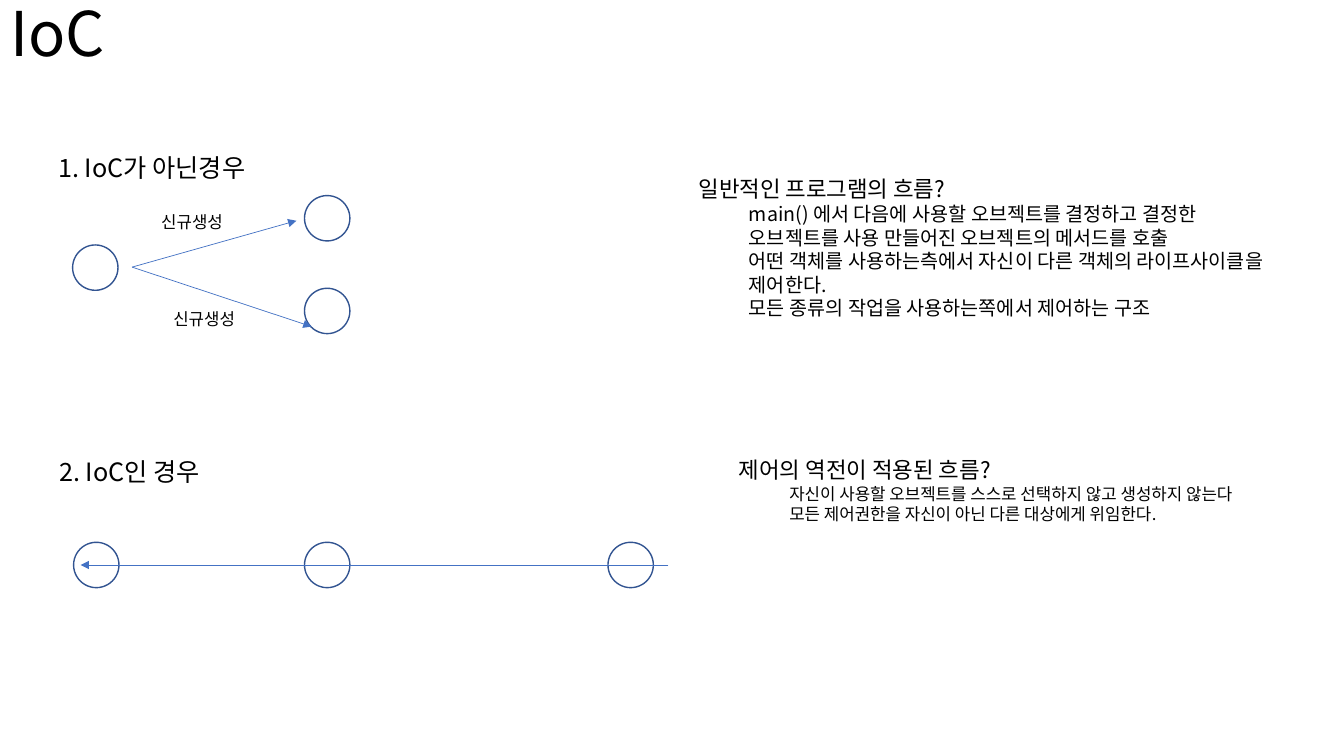
from lxml import etree
from pptx import Presentation
from pptx.dml.color import RGBColor
from pptx.enum.shapes import MSO_CONNECTOR, MSO_SHAPE
from pptx.enum.text import MSO_ANCHOR, MSO_AUTO_SIZE, PP_ALIGN
from pptx.oxml.ns import qn
from pptx.util import Inches, Pt

STRAIGHT = MSO_CONNECTOR.STRAIGHT
OVAL = MSO_SHAPE.OVAL
MIDDLE = MSO_ANCHOR.MIDDLE
LEFT = PP_ALIGN.LEFT
NO_AUTOFIT, GROW = MSO_AUTO_SIZE.NONE, MSO_AUTO_SIZE.SHAPE_TO_FIT_TEXT

FONT = "Noto Sans CJK KR"
COLORS = {"text": "000000", "outline": "325491", "arrow": "4472C4"}

TITLE = "IoC"
# Text, size, (left, top, width, height)
LABELS = [
    ("신규생성", 12, (1.5, 2.05, 0.88, 0.3)),
    ("신규생성", 12, (1.62, 3.01, 0.88, 0.3)),
    ("1. IoC가 아닌경우", 18, (0.48, 1.46, 2.22, 0.4)),
    ("2. IoC인 경우", 18, (0.49, 4.48, 1.71, 0.4)),
]
# Question, answers, answer size, (left, top, width, height)
EXPLANATIONS = [
    ("일반적인 프로그램의 흐름?",
     ["main() 에서 다음에 사용할 오브젝트를 결정하고 결정한 오브젝트를 사용 "
      "만들어진 오브젝트의 메서드를 호출",
      "어떤 객체를 사용하는측에서 자신이 다른 객체의 라이프사이클을 제어한다.",
      "모든 종류의 작업을 사용하는쪽에서 제어하는 구조"],
     14, (6.83, 1.69, 5.83, 1.55)),
    ("제어의 역전이 적용된 흐름?",
     ["자신이 사용할 오브젝트를 스스로 선택하지 않고 생성하지 않는다",
      "모든 제어권한을 자신이 아닌 다른 대상에게 위임한다."],
     12, (7.23, 4.48, 5.83, 0.77)),
]
QUESTION_SIZE = 16

DIAMETER = 0.45
MIDDLE_COLUMN, CHAIN_TOP = 3.02, 5.38
CREATION_OBJECTS = [(0.72, 2.43), (MIDDLE_COLUMN, 1.94), (MIDDLE_COLUMN, 2.86)]
CHAIN_OBJECTS = [(left, CHAIN_TOP) for left in (0.73, MIDDLE_COLUMN, 6.03)]

CREATOR = (1.31, 2.65)
CHAIN_AXIS = CHAIN_TOP + DIAMETER / 2
ARROWS = [
    ((6.63, CHAIN_AXIS), (0.8, CHAIN_AXIS)),
    (CREATOR, (2.94, 2.19)),
    (CREATOR, (3.09, 3.24)),
]


def color(name):
    """Return a palette colour."""
    return RGBColor.from_string(COLORS[name])


def place(shape, box):
    """Move and size a shape in inches."""
    shape.left, shape.top, shape.width, shape.height = map(Inches, box)


def style(paragraph, size):
    """Format every run for Latin and Korean text."""
    for run in paragraph.runs:
        run.font.name = FONT
        run.font.size = Pt(size)
        run.font.color.rgb = color("text")
        korean = etree.Element(qn("a:ea"), typeface=FONT)
        run.font._element.find(qn("a:latin")).addnext(korean)


def add_text(slide, lines, box, wrap):
    """Add a text box of (text, size, level) lines."""
    text_box = slide.shapes.add_textbox(*map(Inches, box))
    frame = text_box.text_frame
    frame.word_wrap = wrap
    frame.auto_size = GROW
    frame.text = "\n".join(text for text, _, _ in lines)
    for paragraph, (_, size, level) in zip(frame.paragraphs, lines):
        paragraph.level = level
        style(paragraph, size)


def add_object(slide, left, top):
    """Add one outlined object circle."""
    circle = slide.shapes.add_shape(
        OVAL, *map(Inches, (left, top, DIAMETER, DIAMETER)))
    circle.shadow.inherit = False
    circle.fill.background()
    circle.line.color.rgb = color("outline")
    circle.line.width = Pt(1)


def add_arrow(slide, start, end):
    """Add a thin line with a triangle at its end."""
    arrow = slide.shapes.add_connector(STRAIGHT, *map(Inches, start + end))
    arrow.line.color.rgb = color("arrow")
    arrow.line.width = Pt(0.5)
    properties = arrow._element.spPr
    etree.SubElement(properties.find(qn("a:ln")), qn("a:tailEnd"), type="triangle")
    etree.SubElement(properties, qn("a:effectLst"))


presentation = Presentation()
presentation.slide_width = Inches(13.33)
presentation.slide_height = Inches(7.5)
slide = presentation.slides.add_slide(presentation.slide_layouts[5])

title = slide.shapes.title
place(title, (0, -0.02, 7.87, 0.77))
title.text_frame.text = TITLE
title.text_frame.auto_size = NO_AUTOFIT
title.text_frame.vertical_anchor = MIDDLE
heading = title.text_frame.paragraphs[0]
heading.alignment = LEFT
heading.line_spacing = 0.9
style(heading, 44)

for left, top in CREATION_OBJECTS + CHAIN_OBJECTS:
    add_object(slide, left, top)
for start, end in ARROWS:
    add_arrow(slide, start, end)
for text, size, box in LABELS:
    add_text(slide, [(text, size, 0)], box, wrap=False)
for question, answers, size, box in EXPLANATIONS:
    lines = [(question, QUESTION_SIZE, 0)] + [(answer, size, 1) for answer in answers]
    add_text(slide, lines, box, wrap=True)

presentation.save("out.pptx")
